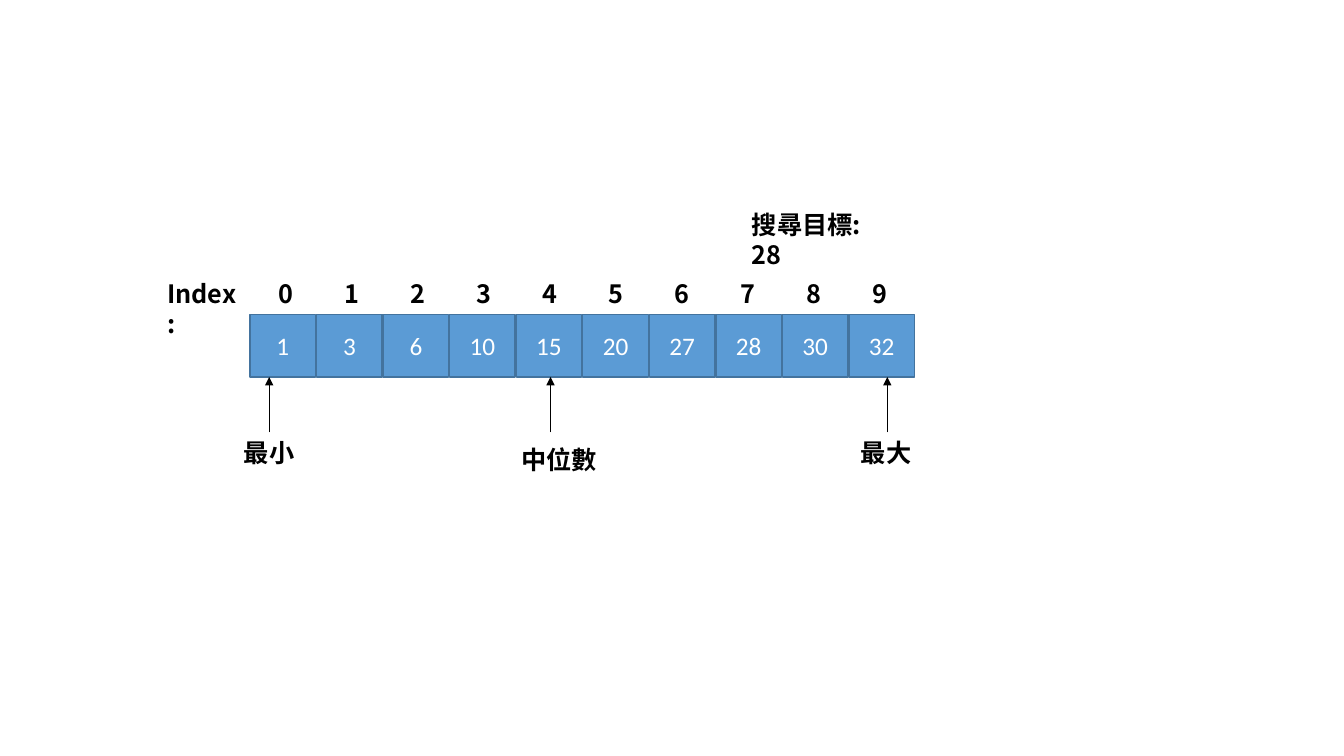
from pptx import Presentation
from pptx.dml.color import RGBColor
from pptx.enum.shapes import MSO_CONNECTOR, MSO_SHAPE
from pptx.enum.text import MSO_ANCHOR, PP_ALIGN
from pptx.oxml.ns import qn
from pptx.util import Inches, Pt
from lxml import etree

RECTANGLE = MSO_SHAPE.RECTANGLE
STRAIGHT = MSO_CONNECTOR.STRAIGHT
LEFT, CENTER = PP_ALIGN.LEFT, PP_ALIGN.CENTER
TOP, MIDDLE = MSO_ANCHOR.TOP, MSO_ANCHOR.MIDDLE

COLORS = {"cell": "5B9BD5", "border": "43739E", "cell_text": "FFFFFF", "ink": "000000"}
CELL_FONT, LABEL_FONT = "Calibri", "Noto Sans CJK SC"

VALUES = [1, 3, 6, 10, 15, 20, 27, 28, 30, 32]
CAPTIONS = [
    ("Index:", 1.56, 2.71, 0.95, False),
    ("搜尋目標: 28", 7.36, 2.03, 1.5, True),
    ("最小", 2.32, 4.29, 0.71, False),
    ("中位數", 5.07, 4.36, 0.96, False),
    ("最大", 8.44, 4.29, 0.71, False),
]
POINTER_POSITIONS = [2.67, 5.46, 8.8]

CELL_LEFT, CELL_TOP, CELL_STEP = 2.48, 3.12, 0.66
CELL_WIDTH, CELL_HEIGHT = 0.65, 0.62
INDEX_LEFT, INDEX_TOP, INDEX_STEP, INDEX_WIDTH = 2.66, 2.71, 0.655, 0.35
LABEL_HEIGHT = 0.4
POINTER_START, POINTER_END = 4.29, 3.74


def color(name):
    return RGBColor.from_string(COLORS[name])


def write(shape, text, font=LABEL_FONT, fill="ink", bold=True,
          align=LEFT, anchor=TOP, wrap=False):
    frame = shape.text_frame
    frame.word_wrap = wrap
    frame.vertical_anchor = anchor
    paragraph = frame.paragraphs[0]
    paragraph.alignment = align
    run = paragraph.add_run()
    run.text = text
    run.font.name = font
    run.font.size = Pt(18)
    run.font.bold = bold
    run.font.color.rgb = color(fill)
    east_asian = etree.SubElement(run.font._element, qn("a:ea"))
    east_asian.set("typeface", font)


def add_label(text, left, top, width, wrap=False):
    box = slide.shapes.add_textbox(
        Inches(left), Inches(top), Inches(width), Inches(LABEL_HEIGHT))
    write(box, text, wrap=wrap)


def add_cell(value, left):
    cell = slide.shapes.add_shape(
        RECTANGLE, Inches(left), Inches(CELL_TOP), Inches(CELL_WIDTH), Inches(CELL_HEIGHT))
    cell.shadow.inherit = False
    cell.fill.solid()
    cell.fill.fore_color.rgb = color("cell")
    cell.line.color.rgb = color("border")
    cell.line.width = Pt(1)
    write(cell, str(value), font=CELL_FONT, fill="cell_text", bold=False,
          align=CENTER, anchor=MIDDLE, wrap=True)


def add_pointer(position):
    pointer = slide.shapes.add_connector(
        STRAIGHT, Inches(position), Inches(POINTER_START), Inches(position), Inches(POINTER_END))
    pointer.line.color.rgb = color("ink")
    pointer.line.width = Pt(0.5)
    arrowhead = etree.SubElement(pointer.line._get_or_add_ln(), qn("a:tailEnd"))
    arrowhead.set("type", "triangle")
    etree.SubElement(pointer._element.spPr, qn("a:effectLst"))


presentation = Presentation()
presentation.slide_width = Inches(13.33)
presentation.slide_height = Inches(7.5)
slide = presentation.slides.add_slide(presentation.slide_layouts[6])

for index, value in enumerate(VALUES):
    add_cell(value, CELL_LEFT + index * CELL_STEP)
    add_label(str(index), INDEX_LEFT + index * INDEX_STEP, INDEX_TOP, INDEX_WIDTH)

for caption in CAPTIONS:
    add_label(*caption)

for position in POINTER_POSITIONS:
    add_pointer(position)

presentation.save("out.pptx")
